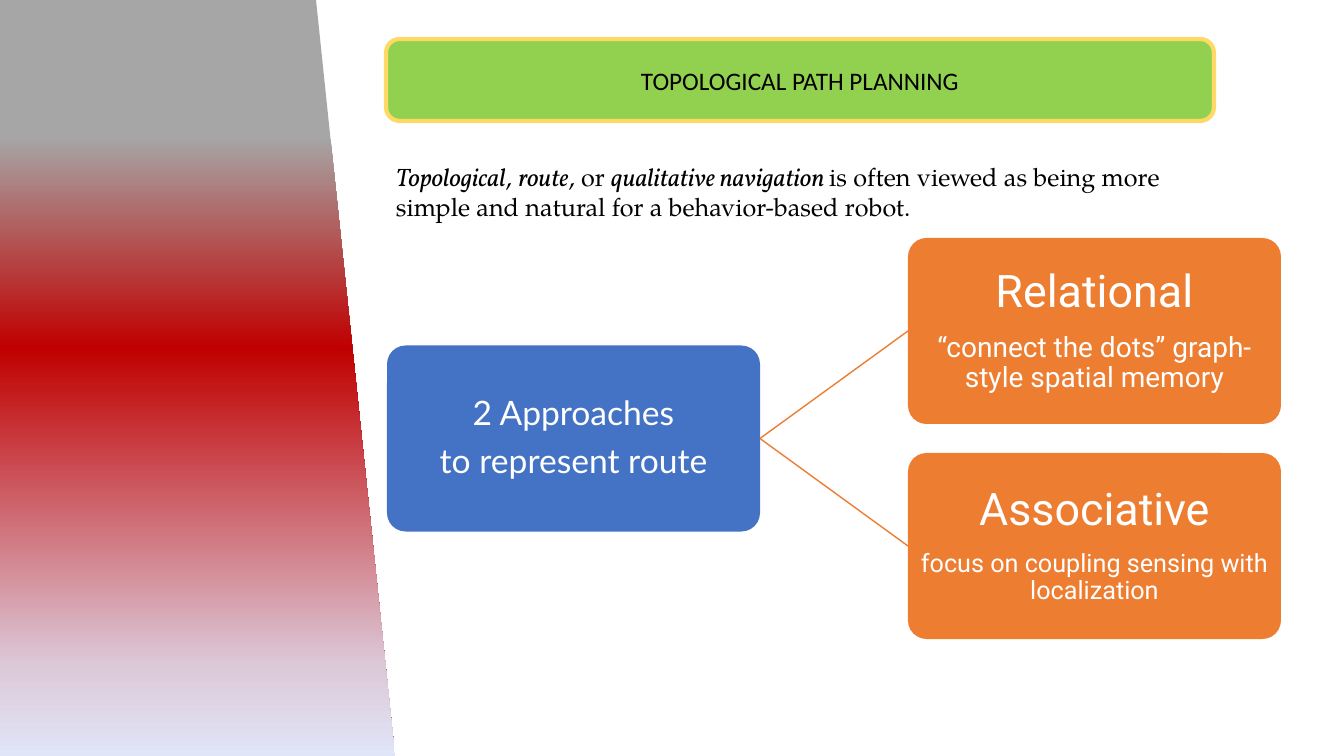
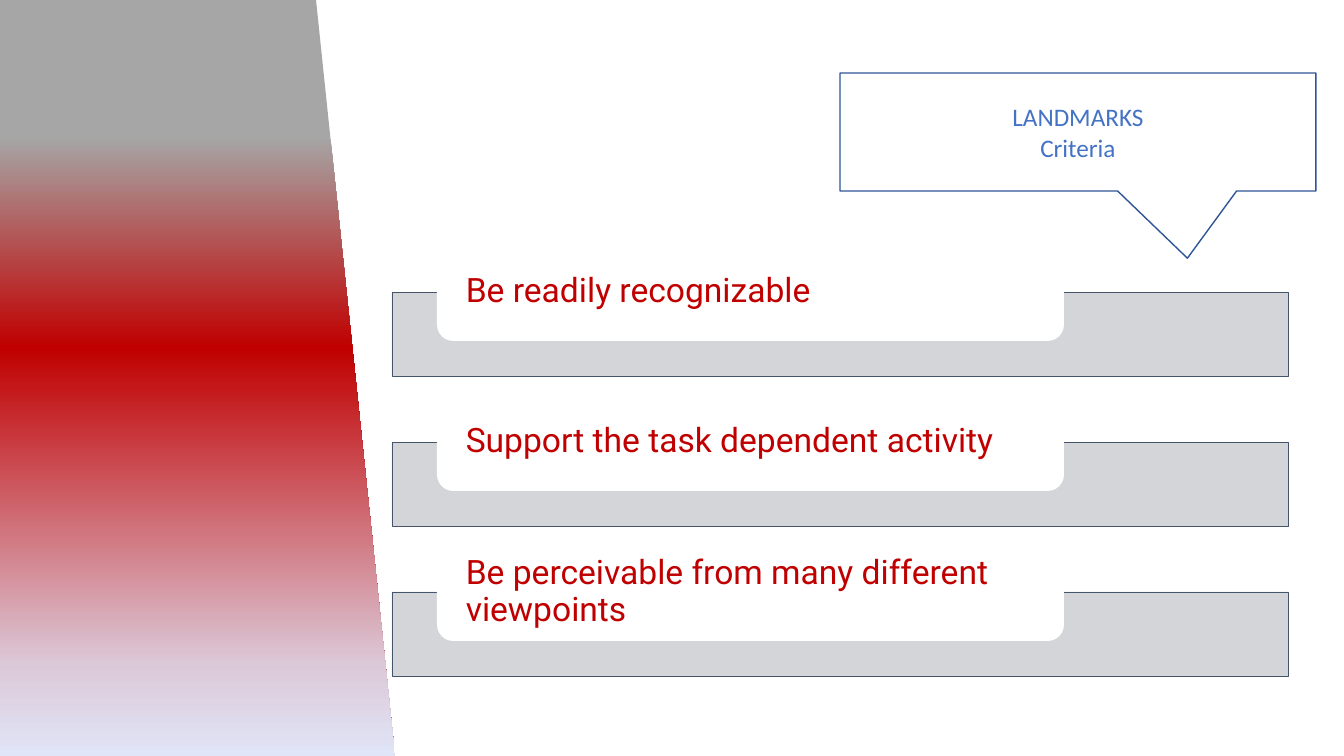
from lxml.etree import SubElement
from pptx import Presentation
from pptx.dml.color import RGBColor
from pptx.enum.shapes import MSO_CONNECTOR as Connector, MSO_SHAPE as Shape
from pptx.enum.text import MSO_ANCHOR as Anchor, PP_ALIGN as Align
from pptx.oxml.ns import qn
from pptx.util import Pt

PX = 914400 / 100.8  # EMU in one px
WIDTH, HEIGHT = 1344, 756
COLORS = {
    "white": "FFFFFF", "black": "000000", "green": "92D050", "yellow": "FFD966",
    "blue": "4472C4", "dark blue": "2F5597", "orange": "ED7D31", "red": "C00000",
    "bar": "CFD1D4", "slate": "44546A", "gray": "A6A6A6", "mauve": "DCC9D8",
    "mist": "E0E5F7",
}
BAND_STOPS = [(18, "gray"), (46, "red"), (88, "mauve"), (100, "mist")]
BODY, ACCENT = "TeX Gyre Pagella", "Vollkorn"


def px(value):
    return round(value * PX)


def rgb(name):
    return RGBColor.from_string(COLORS[name])


def add_box(slide, kind, box, fill=None, line=None, line_width=1, adjust=()):
    shape = slide.shapes.add_shape(kind, *map(px, box))
    shape.shadow.inherit = False
    if fill:
        shape.fill.solid()
        shape.fill.fore_color.rgb = rgb(fill)
    if line:
        shape.line.color.rgb = rgb(line)
        shape.line.width = Pt(line_width)
    else:
        shape.line.fill.background()
    for index, value in enumerate(adjust):
        shape.adjustments[index] = value
    return shape


def set_frame(shape, anchor=Anchor.MIDDLE, margins=(10, 5)):
    frame = shape.text_frame
    frame.word_wrap = True
    frame.vertical_anchor = anchor
    frame.margin_left = frame.margin_right = px(margins[0])
    frame.margin_top = frame.margin_bottom = px(margins[1])


def write(shape, text, size=18, font="Calibri", color="black", align=Align.CENTER,
          spacing=None, after=0):
    """Add one paragraph; text is a string or a list of (string, font, italic)."""
    frame = shape.text_frame
    paragraph = frame.paragraphs[0]
    if paragraph.runs:
        paragraph = frame.add_paragraph()
    paragraph.alignment = align
    paragraph.space_after = Pt(after)
    if spacing:
        paragraph.line_spacing = spacing
    pieces = [(text, font, False)] if isinstance(text, str) else text
    for words, face, italic in pieces:
        run = paragraph.add_run()
        run.text = words
        run.font.name = face
        run.font.size = Pt(size)
        run.font.italic = italic
        run.font.color.rgb = rgb(color)


def add_band(slide):
    """Slanted gradient band down the left edge, turned a quarter."""
    depth = 395
    box = ((depth - HEIGHT) / 2, (HEIGHT - depth) / 2, HEIGHT, depth)
    band = add_box(slide, Shape.FLOWCHART_MANUAL_INPUT, box)
    band.rotation = 90
    band.fill.gradient()
    band.fill.gradient_angle = 0
    stops = band._element.spPr.find(qn("a:gradFill")).find(qn("a:gsLst"))
    for stop in list(stops):
        stops.remove(stop)
    for position, name in BAND_STOPS:
        stop = SubElement(stops, qn("a:gs"), pos=str(position * 1000))
        SubElement(stop, qn("a:srgbClr"), val=COLORS[name])


def add_slide(presentation):
    slide = presentation.slides.add_slide(presentation.slide_layouts[6])
    add_band(slide)
    return slide


def add_node(slide, box, fill, lines, font):
    node = add_box(slide, Shape.ROUNDED_RECTANGLE, box, fill, adjust=[0.1])
    set_frame(node, margins=(2, 2))
    for text, size in lines:
        write(node, text, size=size, font=font, color="white", spacing=0.9,
              after=round(size * 0.35, 1))


def add_branch(slide, start, end):
    branch = slide.shapes.add_connector(Connector.STRAIGHT, *map(px, start + end))
    branch.line.color.rgb = rgb("orange")
    branch.line.width = Pt(1)
    SubElement(branch._element.spPr, qn("a:effectLst"))


def add_tree(slide, box, root, children):
    """Root at the left, centred against a column of children at the right."""
    left, top, width, height = box
    node_width, node_height = 373, 186
    child_left = left + width - node_width
    pitch = (height - node_height) / (len(children) - 1)
    middle = top + height / 2
    add_node(slide, (left, middle - node_height / 2, node_width, node_height),
             "blue", root, "Lato")
    for index, lines in enumerate(children):
        child_top = top + index * pitch
        add_branch(slide, (left + node_width, middle),
                   (child_left, child_top + node_height / 2))
        add_node(slide, (child_left, child_top, node_width, node_height),
                 "orange", lines, "Roboto")


def add_criteria(slide, box, criteria):
    """Stack of gray bars, each with a white label overlapping its top."""
    left, top, width, pitch = box
    for index, text in enumerate(criteria):
        label_top = top + index * pitch
        bar = add_box(slide, Shape.RECTANGLE, (left, label_top + 49, width, 84),
                      "bar", "slate", 0.5)
        bar_color = bar._element.spPr.find(qn("a:solidFill"))[0]
        SubElement(bar_color, qn("a:alpha"), val="90000")
        label = add_box(slide, Shape.ROUNDED_RECTANGLE,
                        (left + 45, label_top, 627, 98), "white")
        set_frame(label, margins=(24, 0))
        write(label, text, size=24, font="Roboto", color="red", align=Align.LEFT,
              spacing=0.9, after=8.4)


def build_planning(presentation):
    slide = add_slide(presentation)
    # Title
    title = add_box(slide, Shape.ROUNDED_RECTANGLE, (386, 39, 828, 82),
                    "green", "yellow", 3)
    set_frame(title)
    write(title, "TOPOLOGICAL PATH PLANNING")
    # Introduction
    intro = slide.shapes.add_textbox(*map(px, (386, 156, 846, 72)))
    set_frame(intro, Anchor.TOP)
    write(intro, [
        ("Topological", ACCENT, True), (", ", BODY, False),
        ("route", ACCENT, True), (", or ", BODY, False),
        ("qualitative navigation ", ACCENT, True),
        ("is often viewed as being more simple and natural for a "
         "behavior-based robot.", BODY, False),
    ], align=Align.LEFT)
    # Approaches
    add_tree(slide, (387, 238, 894, 401),
             [("2 Approaches", 24), ("to represent route", 24)],
             [[("Relational", 32),
               ("“connect the dots” graph-style spatial memory", 20)],
              [("Associative", 32),
               ("focus on coupling sensing with localization", 18)]])


def build_landmarks(presentation):
    slide = add_slide(presentation)
    # Callout
    callout = add_box(slide, Shape.RECTANGULAR_CALLOUT, (840, 73, 476, 118),
                      "white", "dark blue", adjust=[0.23, 1.07])
    set_frame(callout)
    for line in ("LANDMARKS", "Criteria"):
        write(callout, line, color="blue")
    # Criteria
    add_criteria(slide, (392, 243, 896, 150), [
        "Be readily recognizable",
        "Support the task dependent activity",
        "Be perceivable from many different viewpoints",
    ])


def main():
    presentation = Presentation()
    presentation.slide_width, presentation.slide_height = px(WIDTH), px(HEIGHT)
    build_planning(presentation)
    build_landmarks(presentation)
    presentation.save("out.pptx")


if __name__ == "__main__":
    main()
